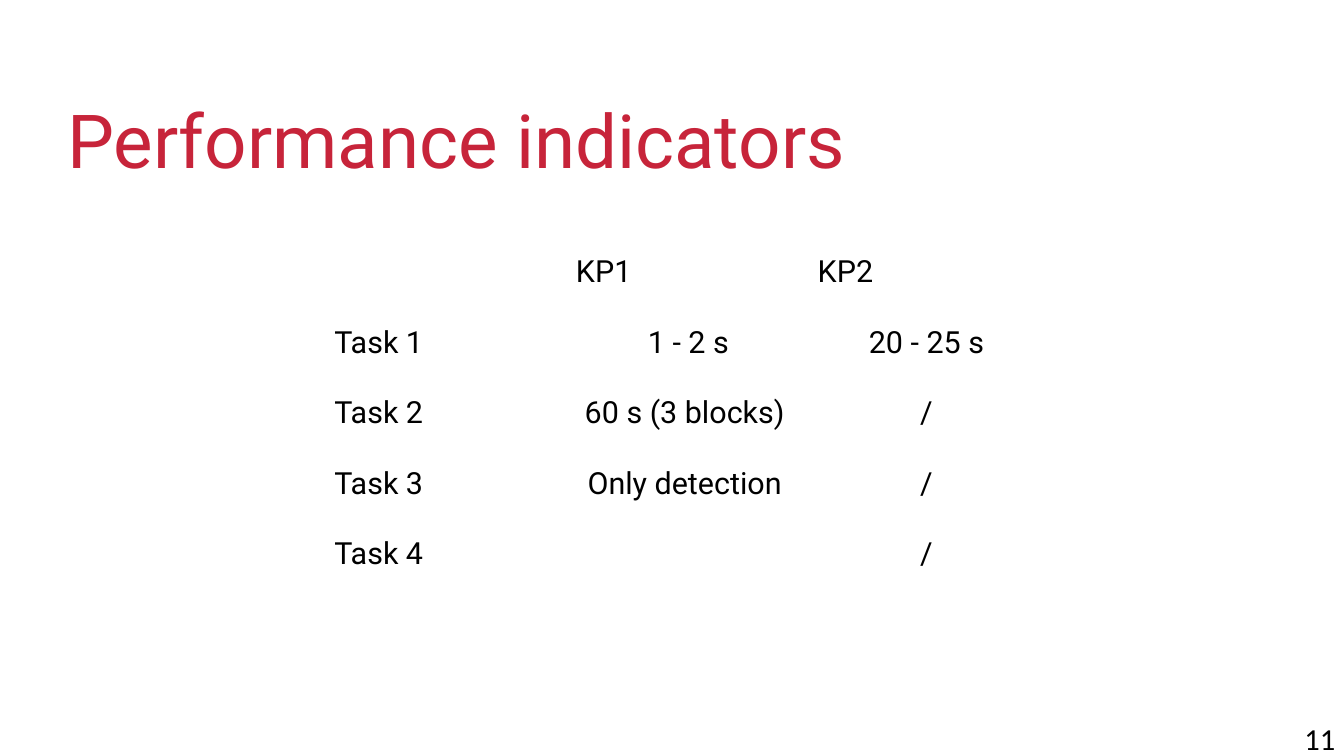
from pptx import Presentation
from pptx.dml.color import RGBColor
from pptx.enum.text import MSO_ANCHOR, PP_ALIGN
from pptx.util import Cm, Pt

LEFT, CENTER, RIGHT = PP_ALIGN.LEFT, PP_ALIGN.CENTER, PP_ALIGN.RIGHT
TOP, MIDDLE = MSO_ANCHOR.TOP, MSO_ANCHOR.MIDDLE
CRIMSON = RGBColor(0xC7, 0x24, 0x3A)
BLACK = RGBColor(0, 0, 0)

TITLE_FONT = {"name": "Roboto", "size": Pt(44)}
TABLE_FONT = {"name": "Roboto", "size": Pt(18)}
NUMBER_FONT = {"name": "Calibri", "size": Pt(18)}

INDICATORS = [
    ("", "KP1", "KP2"),
    ("Task 1", " 1 - 2 s", "20 - 25 s"),
    ("Task 2", "60 s (3 blocks)", "/"),
    ("Task 3", "Only detection", "/"),
    ("Task 4", "", "/"),
]


def write(paragraph, text, font_format, color, alignment):
    """Put formatted text into a paragraph."""
    paragraph.text = text
    paragraph.alignment = alignment
    for attribute, value in font_format.items():
        setattr(paragraph.font, attribute, value)
    paragraph.font.color.rgb = color


def add_line(slide, box, text, font_format, color, alignment, anchor):
    """Place one line of text in a box without margins."""
    frame = slide.shapes.add_textbox(*box).text_frame
    layout = {"word_wrap": True, "vertical_anchor": anchor, "margin_left": 0,
              "margin_right": 0, "margin_top": 0, "margin_bottom": 0}
    for attribute, value in layout.items():
        setattr(frame, attribute, value)
    write(frame.paragraphs[0], text, font_format, color, alignment)


def add_indicators(slide, box):
    """Fill the box with the plain table of tasks and indicators."""
    table = slide.shapes.add_table(len(INDICATORS), len(INDICATORS[0]), *box).table
    table.first_row = False
    table.horz_banding = False
    for row, values in enumerate(INDICATORS):
        for column, value in enumerate(values):
            cell = table.cell(row, column)
            cell.fill.background()
            alignment = CENTER if row and column else LEFT
            write(cell.text_frame.paragraphs[0], value, TABLE_FONT, BLACK, alignment)


def main():
    """Build the performance indicators slide."""
    deck = Presentation()
    deck.slide_width, deck.slide_height = Cm(28), Cm(15.75)
    slide = deck.slides.add_slide(deck.slide_layouts[6])
    number_box = (Cm(21.29), Cm(15.01), Cm(6.53), Cm(1.09))
    title_box = (Cm(1.4), Cm(1.57), Cm(25.2), Cm(2.64))
    table_box = (Cm(6.71), Cm(5.18), Cm(15.11), Cm(7.34))
    add_line(slide, number_box, "11", NUMBER_FONT, BLACK, RIGHT, TOP)
    add_line(slide, title_box, "Performance indicators", TITLE_FONT, CRIMSON, LEFT, MIDDLE)
    add_indicators(slide, table_box)
    deck.save("out.pptx")


if __name__ == "__main__":
    main()
